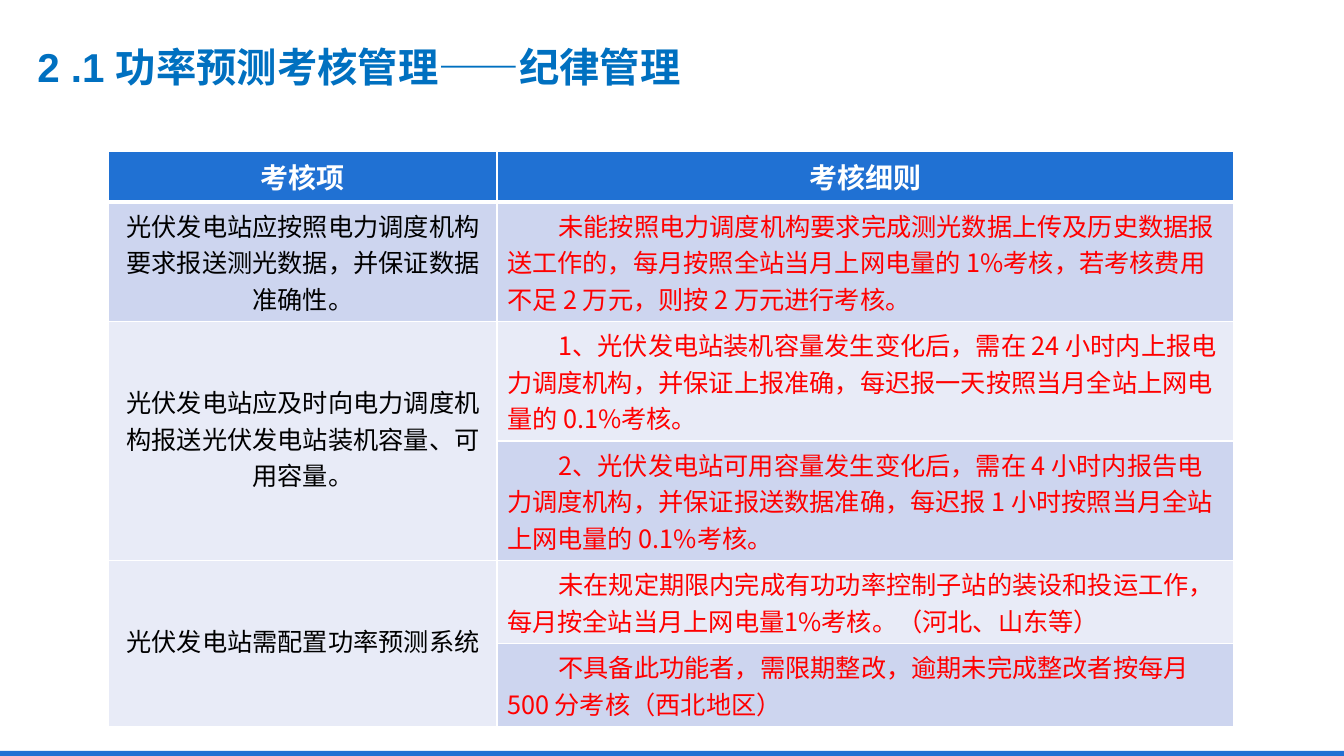
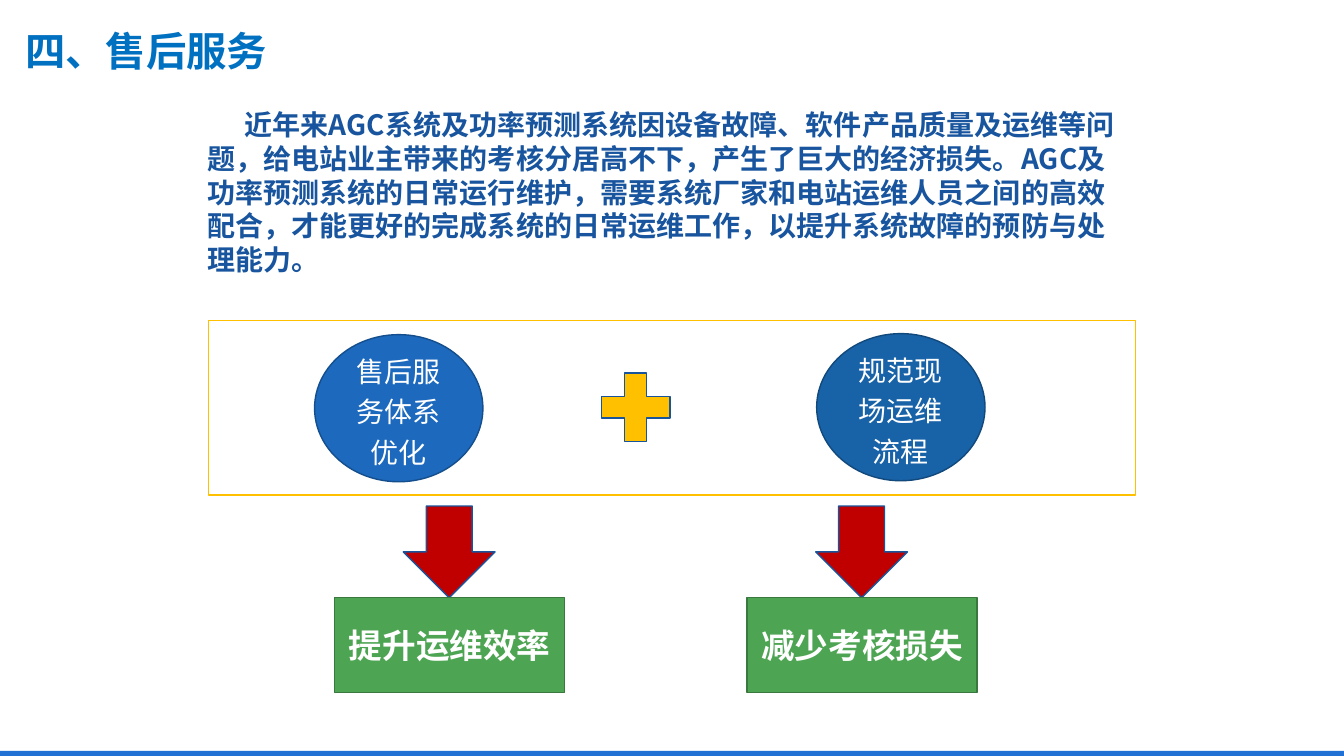
from dataclasses import dataclass

from lxml import etree
from pptx import Presentation
from pptx import util as u
from pptx.dml.color import RGBColor
from pptx.enum import shapes, text
from pptx.oxml.ns import qn

PX = 9144  # one px is a hundredth of an inch
SLIDE_WIDTH, SLIDE_HEIGHT = 1333, 750
CENTER, LEFT = text.PP_ALIGN.CENTER, text.PP_ALIGN.LEFT
MIDDLE, TOP = text.MSO_ANCHOR.MIDDLE, text.MSO_ANCHOR.TOP
SHAPE = shapes.MSO_SHAPE


@dataclass(frozen=True)
class Theme:
    latin: str = "Arial"
    chinese: str = "Noto Sans CJK SC"
    title: str = "0070C0"
    band: str = "2071D3"
    white: str = "FFFFFF"
    black: str = "000000"
    rule: str = "FF0000"
    row_dark: str = "CDD5EF"
    row_light: str = "E8EBF7"
    body: str = "18559E"
    gold: str = "FFC000"
    arrow: str = "C00000"
    outline: str = "18549C"
    result: str = "4DA452"
    result_line: str = "39793D"
    title_size: float = 28.8
    result_size: int = 24
    body_size: int = 20
    cell_size: int = 18


THEME = Theme()

# Each item of the table with its detailed rules
ASSESSMENTS = [
    ("光伏发电站应按照电力调度机构要求报送测光数据，并保证数据准确性。",
     ["未能按照电力调度机构要求完成测光数据上传及历史数据报送工作的，每月按照全站当月上网电量的 1%考核，"
      "若考核费用不足 2 万元，则按 2 万元进行考核。"]),
    ("光伏发电站应及时向电力调度机构报送光伏发电站装机容量、可用容量。",
     ["1、光伏发电站装机容量发生变化后，需在 24 小时内上报电力调度机构，并保证上报准确，"
      "每迟报一天按照当月全站上网电量的 0.1%考核。",
      "2、光伏发电站可用容量发生变化后，需在 4 小时内报告电力调度机构，并保证报送数据准确，"
      "每迟报 1 小时按照当月全站上网电量的 0.1%考核。"]),
    ("光伏发电站需配置功率预测系统",
     ["未在规定期限内完成有功功率控制子站的装设和投运工作，每月按全站当月上网电量1%考核。（河北、山东等）",
      "不具备此功能者，需限期整改，逾期未完成整改者按每月 500 分考核（西北地区）"]),
]
COLUMN_WIDTHS = [385, 731]
ROW_HEIGHTS = [49, 118, 118, 118, 82, 82]

SERVICE_TEXT = (
    "近年来AGC系统及功率预测系统因设备故障、软件产品质量及运维等问题，给电站业主带来的考核分居高不下，"
    "产生了巨大的经济损失。AGC及功率预测系统的日常运行维护，需要系统厂家和电站运维人员之间的高效配合，"
    "才能更好的完成系统的日常运维工作，以提升系统故障的预防与处理能力。")


def color(value):
    return RGBColor.from_string(value)


def box(*lengths):
    return [length * PX for length in lengths]


def write(frame, words, *, size, fill, font=THEME.chinese, bold=False,
          align=LEFT, anchor=MIDDLE, spacing=1.0, indent=0):
    """Fill a text frame with one formatted paragraph."""
    frame.word_wrap = True
    frame.vertical_anchor = anchor
    paragraph = frame.paragraphs[0]
    paragraph.alignment = align
    paragraph.line_spacing = spacing
    if indent:
        paragraph._p.get_or_add_pPr().set("indent", str(indent * PX))
    run = paragraph.add_run()
    run.text = words
    run.font.size = u.Pt(size)
    run.font.bold = bold
    run.font.color.rgb = color(fill)
    run.font.name = font
    east_asian = etree.SubElement(run.font._element, qn("a:ea"))
    east_asian.set("typeface", THEME.chinese)


def add_shape(slide, kind, place, fill, line=None):
    shape = slide.shapes.add_shape(kind, *box(*place))
    shape.shadow.inherit = False
    shape.fill.solid()
    shape.fill.fore_color.rgb = color(fill)
    if line:
        shape.line.color.rgb = color(line)
        shape.line.width = u.Pt(1)
    else:
        shape.line.fill.background()
    return shape


def add_slide(presentation, title, place, *, inset=True, spacing=1.0):
    """Add a slide with the common title style and bottom band."""
    slide = presentation.slides.add_slide(presentation.slide_layouts[5])
    add_shape(slide, SHAPE.RECTANGLE, (0, 745, SLIDE_WIDTH, 5), THEME.band)
    holder = slide.shapes.title
    holder.left, holder.top, holder.width, holder.height = box(*place)
    frame = holder.text_frame
    frame.auto_size = text.MSO_AUTO_SIZE.NONE
    if not inset:
        frame.margin_left = frame.margin_right = 0
        frame.margin_top = frame.margin_bottom = 0
    write(frame, title, size=THEME.title_size, fill=THEME.title,
          font=THEME.latin, bold=True, spacing=spacing)
    return slide


def set_borders(cell, bottom):
    """Draw white cell borders, one point wide except at the bottom."""
    properties = cell._tc.get_or_add_tcPr()
    for index, (side, width) in enumerate(
            [("lnL", 1), ("lnR", 1), ("lnT", 1), ("lnB", bottom)]):
        line = etree.Element(qn("a:" + side), w=str(u.Pt(width)))
        fill = etree.SubElement(line, qn("a:solidFill"))
        etree.SubElement(fill, qn("a:srgbClr"), val=THEME.white)
        properties.insert(index, line)


def fill_cell(cell, words, background, bottom=1, **style):
    cell.fill.solid()
    cell.fill.fore_color.rgb = color(background)
    set_borders(cell, bottom)
    cell.vertical_anchor = MIDDLE
    write(cell.text_frame, words, **style)


def add_assessment_table(slide):
    table = slide.shapes.add_table(
        len(ROW_HEIGHTS), len(COLUMN_WIDTHS),
        *box(108, 150, sum(COLUMN_WIDTHS), sum(ROW_HEIGHTS))).table
    for column, width in zip(table.columns, COLUMN_WIDTHS):
        column.width = width * PX
    for row, height in zip(table.rows, ROW_HEIGHTS):
        row.height = height * PX

    for index, heading in enumerate(["考核项", "考核细则"]):
        fill_cell(table.cell(0, index), heading, THEME.band, bottom=3,
                  size=THEME.body_size, fill=THEME.white, bold=True, align=CENTER)

    row = 1
    for item, rules in ASSESSMENTS:
        first = row
        for rule in rules:
            background = THEME.row_dark if row % 2 else THEME.row_light
            fill_cell(table.cell(row, 1), rule, background,
                      bottom=1, size=THEME.cell_size, fill=THEME.rule, indent=51)
            row += 1
        item_cell = table.cell(first, 0)
        if len(rules) > 1:
            item_cell.merge(table.cell(row - 1, 0))
            item_cell.margin_bottom = 11 * PX
        fill_cell(item_cell, item, THEME.row_dark if first % 2 else THEME.row_light,
                  size=THEME.cell_size, fill=THEME.black, font=THEME.latin, align=CENTER)


def add_circle(slide, left, top, words, fill, line):
    circle = add_shape(slide, SHAPE.OVAL, (left, top, 167, 146), fill, line)
    write(circle.text_frame, words, size=THEME.body_size, fill=THEME.white,
          align=CENTER, spacing=1.2)


def add_result(slide, left, words):
    """Add a result box with the arrow centred above it."""
    width, arrow = 228, 91
    add_shape(slide, SHAPE.DOWN_ARROW, (left + (width - arrow) // 2, 502, arrow, arrow),
              THEME.arrow, THEME.outline)
    result = add_shape(slide, SHAPE.RECTANGLE, (left, 593, width, 94),
                       THEME.result, THEME.result_line)
    write(result.text_frame, words, size=THEME.result_size, fill=THEME.white,
          bold=True, align=CENTER)


def build_assessment_slide(presentation):
    slide = add_slide(presentation, "2 .1 功率预测考核管理——纪律管理",
                      (27, 26, 1213, 70), spacing=1.2)
    add_assessment_table(slide)


def build_service_slide(presentation):
    slide = add_slide(presentation, "四、售后服务", (25, 24, 1213, 52), inset=False)
    introduction = slide.shapes.add_textbox(*box(196, 102, 930, 179))
    write(introduction.text_frame, SERVICE_TEXT, size=THEME.body_size, fill=THEME.body,
          bold=True, anchor=TOP, indent=37)

    # Two measures joined by a plus sign
    add_shape(slide, SHAPE.RECTANGLE, (207, 318, 919, 173), THEME.white, THEME.gold)
    add_circle(slide, 312, 332, "售后服务体系优化", "1C69BD", "154E8C")
    add_shape(slide, SHAPE.MATH_PLUS, (584, 358, 93, 92), THEME.gold, THEME.outline)
    add_circle(slide, 810, 331, "规范现场运维流程", "1862A7", "12497C")

    # Results
    add_result(slide, 332, "提升运维效率")
    add_result(slide, 741, "减少考核损失")


def main():
    presentation = Presentation()
    presentation.slide_width, presentation.slide_height = box(SLIDE_WIDTH, SLIDE_HEIGHT)
    build_assessment_slide(presentation)
    build_service_slide(presentation)
    presentation.save("out.pptx")


if __name__ == "__main__":
    main()
